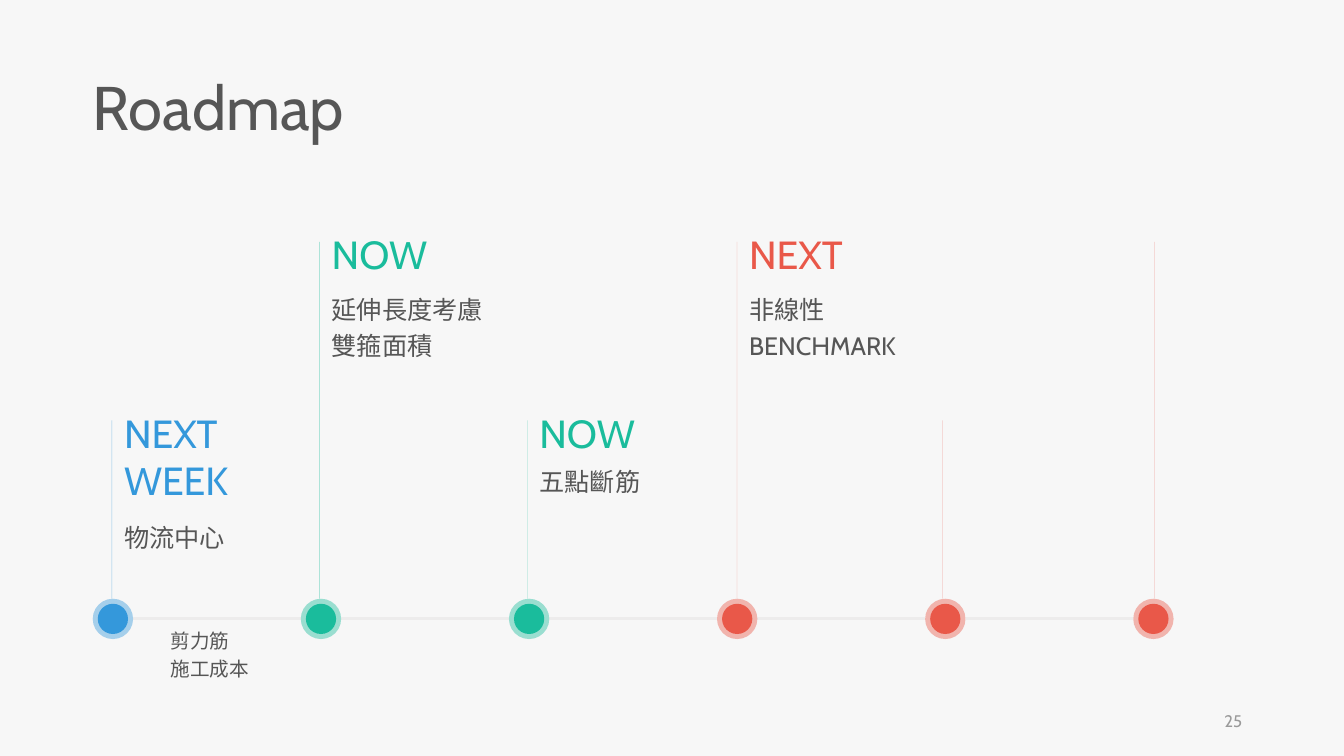
from dataclasses import dataclass
from itertools import pairwise

from lxml.etree import SubElement
from pptx import Presentation
from pptx.dml.color import RGBColor
from pptx.enum.shapes import MSO_CONNECTOR as Connector, MSO_SHAPE as Shape
from pptx.enum.text import MSO_ANCHOR as Anchor, MSO_AUTO_SIZE as AutoSize, PP_ALIGN as Align
from pptx.oxml.ns import qn
from pptx.util import Inches, Pt


@dataclass(frozen=True)
class Theme:
    font: str = "Cabin"
    background: str = "F7F7F7"
    text: str = "565656"
    muted: str = "9A9A9A"
    track: str = "EDECEC"
    blue: str = "3498DB"
    green: str = "1ABC9C"
    red: str = "E95849"
    title_size: int = 44
    heading_size: int = 28
    body_size: int = 18
    note_size: int = 14
    number_size: int = 12


THEME = Theme()

FIRST_LEFT, STOP_PITCH = 0.92, 2.064
HALO, DOT = 0.4, 0.3
TRACK_Y = 6.14
HALO_TOP = TRACK_Y - HALO / 2
HIGH, LOW = 2.4, 4.17
HEADING_RISE = 0.16
LABEL_INSET = 0.12


@dataclass(frozen=True)
class Label:
    heading: str
    lines: tuple[str, ...]
    heading_height: float = 0.57
    detail_offset: float = 0.57
    detail_height: float = 0.4
    heading_width: float = 1.85
    spacing: float = 1.2


@dataclass(frozen=True)
class Stop:
    color: str
    stem_x: float
    stem_top: float
    label: Label | None = None


STOPS = (
    Stop(THEME.blue, 1.11, LOW, Label("NEXT WEEK", ("物流中心",), 1.04, 1.06, 0.43)),
    Stop(THEME.green, 3.17, HIGH, Label("NOW", ("延伸長度考慮", "雙箍面積"), detail_height=0.83)),
    Stop(THEME.green, 5.23, LOW, Label("NOW", ("五點斷筋",), spacing=1.0)),
    Stop(THEME.red, 7.31, HIGH,
         Label("NEXT", ("非線性 BENCHMARK",), detail_height=0.79, heading_width=2.67)),
    Stop(THEME.red, 9.35, LOW),
    Stop(THEME.red, 11.45, HIGH),
)


def set_alpha(shape, percent: int) -> None:
    """Make the shape's fill or line colour partly transparent."""
    color = shape.element.find(".//" + qn("a:srgbClr"))
    SubElement(color, qn("a:alpha"), val=str(percent * 1000))


def add_text(page, left: float, top: float, width: float, height: float,
             lines: tuple[str, ...], size: int, color: str = THEME.text,
             spacing: float = 1.0, inset: float = 0.0, wrap: bool = True):
    box = page.shapes.add_textbox(Inches(left), Inches(top), Inches(width), Inches(height))
    frame = box.text_frame
    frame.word_wrap = wrap
    frame.auto_size = AutoSize.SHAPE_TO_FIT_TEXT
    frame.margin_left = Inches(inset)
    frame.text = "\n".join(lines)
    for para in frame.paragraphs:
        para.line_spacing = spacing
        para.font.name = THEME.font
        para.font.size = Pt(size)
        para.font.color.rgb = RGBColor.from_string(color)
    return frame


def add_line(page, start: tuple[float, float], end: tuple[float, float],
             color: str, width: float):
    line = page.shapes.add_connector(Connector.STRAIGHT, *map(Inches, start + end))
    line.line.color.rgb = RGBColor.from_string(color)
    line.line.width = Pt(width)
    SubElement(line.element.spPr, qn("a:effectLst"))
    return line


def add_disc(group, center_x: float, diameter: float, color: str):
    disc = group.shapes.add_shape(
        Shape.OVAL, Inches(center_x - diameter / 2), Inches(TRACK_Y - diameter / 2),
        Inches(diameter), Inches(diameter))
    disc.shadow.inherit = False
    disc.fill.solid()
    disc.fill.fore_color.rgb = RGBColor.from_string(color)
    disc.line.fill.background()
    return disc


def add_marker(page, left: float, color: str) -> None:
    group = page.shapes.add_group_shape()
    center_x = left + HALO / 2
    set_alpha(add_disc(group, center_x, HALO, color), 42)
    add_disc(group, center_x, DOT, color)


def add_label(page, stop: Stop, label: Label) -> None:
    top = stop.stem_top - HEADING_RISE
    add_text(page, stop.stem_x, top, label.heading_width, label.heading_height,
             (label.heading,), THEME.heading_size, stop.color, inset=LABEL_INSET)
    add_text(page, stop.stem_x, top + label.detail_offset, 1.85, label.detail_height,
             label.lines, THEME.body_size, spacing=label.spacing, inset=LABEL_INSET)


def add_timeline(page) -> None:
    lefts = [FIRST_LEFT + index * STOP_PITCH for index in range(len(STOPS))]
    for left, following in pairwise(lefts):
        add_line(page, (left + HALO, TRACK_Y), (following, TRACK_Y), THEME.track, 2.25)
    for left, stop in zip(lefts, STOPS):
        add_marker(page, left, stop.color)
        stem = add_line(page, (stop.stem_x, HALO_TOP), (stop.stem_x, stop.stem_top),
                        stop.color, 0.25)
        set_alpha(stem, 51)
        if stop.label:
            add_label(page, stop, stop.label)


def main() -> None:
    deck = Presentation()
    deck.slide_width, deck.slide_height = Inches(13.33), Inches(7.5)
    page = deck.slides.add_slide(deck.slide_layouts[6])
    page.background.fill.solid()
    page.background.fill.fore_color.rgb = RGBColor.from_string(THEME.background)

    title = add_text(page, FIRST_LEFT, 0.72, 4.9, 0.77, ("Roadmap",),
                     THEME.title_size, spacing=0.9)
    title.paragraphs[0].space_before = Pt(10)

    add_timeline(page)
    add_text(page, 1.69, TRACK_Y, 0.89, 0.67, ("剪力筋", "施工成本"),
             THEME.note_size, spacing=1.2, wrap=False)

    number = add_text(page, 9.42, 6.95, 3, 0.4, ("25",), THEME.number_size, THEME.muted)
    number.auto_size = AutoSize.NONE
    number.vertical_anchor = Anchor.MIDDLE
    number.paragraphs[0].alignment = Align.RIGHT

    deck.save("out.pptx")


if __name__ == "__main__":
    main()
